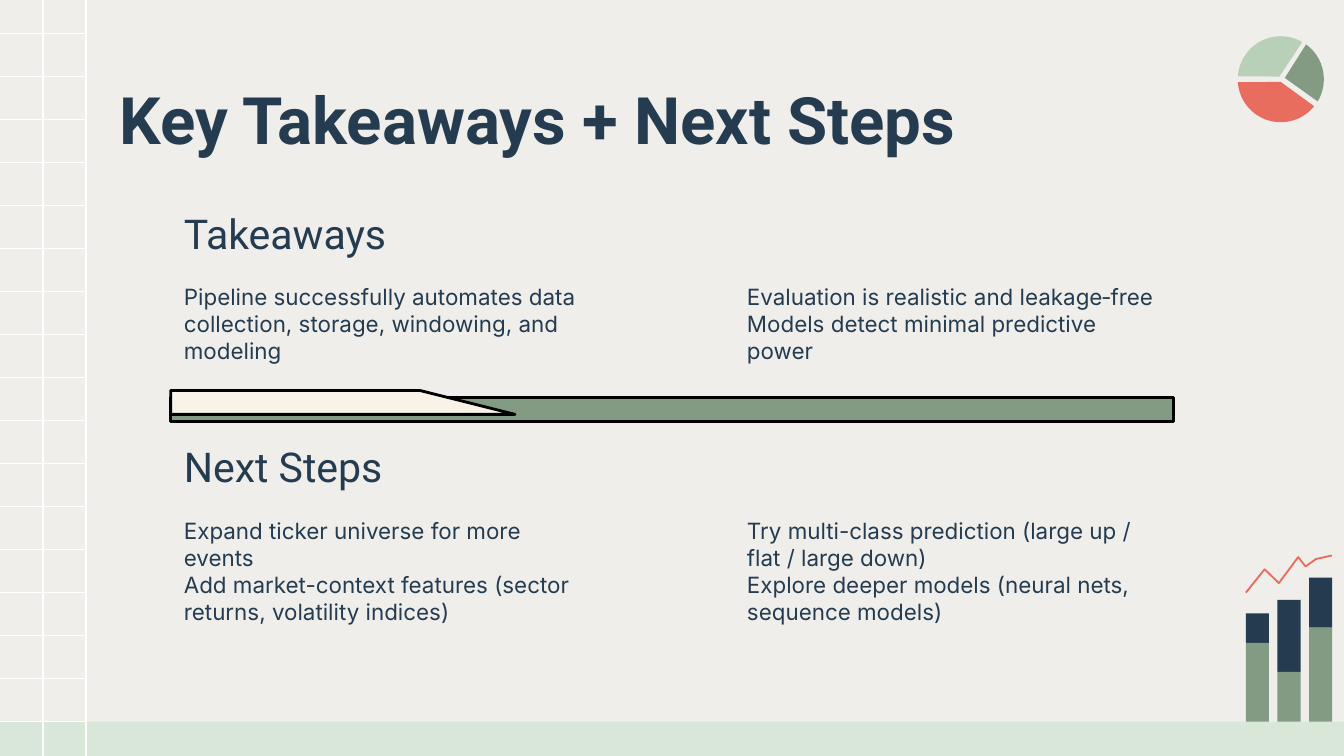
import math

import pptx
import pptx.dml.color
import pptx.enum.shapes
import pptx.enum.text
import pptx.oxml.ns
import pptx.util
import lxml.etree

Pt = pptx.util.Pt
ANCHOR = pptx.enum.text.MSO_ANCHOR

WIDTH, HEIGHT = 720, 405
BACKGROUND, MINT, WHITE, BLACK = "EFEEEA", "D9E7D8", "FFFFFF", "000000"
NAVY, GREEN, PALE_GREEN, CORAL, CREAM = "243B50", "839B82", "B9D0B8", "E96D5F", "F9F3E7"

GRID_STEP, GRID_TOP, GRID_ROWS = 23.04, 18, 17
GRID_WIDTH = 2 * GRID_STEP
FLOOR = 386.64
LEFT, RIGHT, COLUMN_WIDTH = 91.44, 393.12, 235.44
HEADING_HEIGHT, BODY_HEIGHT = 29.52, 74.88

TITLE_FORMAT = {"name": "Roboto", "size": Pt(35), "bold": True}
HEADING_FORMAT = {"name": "Roboto", "size": Pt(22)}
BODY_FORMAT = {"name": "Inter", "size": Pt(12)}

HEADINGS = [("Takeaways", 115.92), ("Next Steps", 240.48)]
BODIES = [
    (LEFT, 144.72, ["Pipeline successfully automates data collection, storage, windowing, and modeling"]),
    (RIGHT, 144.72, ["Evaluation is realistic and leakage‑free Models detect minimal predictive power"]),
    (LEFT, 270, ["Expand ticker universe for more events",
                 "Add market-context features (sector returns, volatility indices)"]),
    (RIGHT, 270, ["Try multi-class prediction (large up / flat / large down)",
                  "Explore deeper models (neural nets, sequence models)"]),
]

PIE_CENTER, PIE_RADIUS = (686.16, 42.48), 23.04
PIE_SLICES = [
    ((685.44, 41.04), 184, 300, PALE_GREEN),
    ((688.32, 41.76), 306, 391, GREEN),
    ((686.16, 43.92), 39, 176, CORAL),
]

BAR_LEFT, BAR_STEP, BAR_WIDTH = 667.44, 16.92, 12.4
BAR_TOPS = [(328.6, 344.4), (321.4, 360), (309.5, 336.24)]
TREND = [(667.44, 317.5), (677.5, 305), (685.1, 312.4), (695.5, 298.5),
         (699.4, 303.5), (705, 299.5), (713.5, 297.6)]


def color(value):
    return pptx.dml.color.RGBColor.from_string(value)


def style(shape, fill=None, line=None, weight=0.75):
    shape.shadow.inherit = False
    if fill:
        shape.fill.solid()
        shape.fill.fore_color.rgb = color(fill)
    else:
        shape.fill.background()
    if line:
        shape.line.color.rgb = color(line)
        shape.line.width = Pt(weight)
    else:
        shape.line.fill.background()


def add_rectangle(slide, left, top, width, height, fill, **outline):
    kind = pptx.enum.shapes.MSO_SHAPE.RECTANGLE
    shape = slide.shapes.add_shape(kind, Pt(left), Pt(top), Pt(width), Pt(height))
    style(shape, fill, **outline)


def add_outline(slide, points, close=True, **formats):
    start, *others = [(Pt(x), Pt(y)) for x, y in points]
    builder = slide.shapes.build_freeform(*start, scale=1.0)
    builder.add_line_segments(others, close=close)
    style(builder.convert_to_shape(), **formats)


def add_line(slide, x1, y1, x2, y2):
    kind = pptx.enum.shapes.MSO_CONNECTOR.STRAIGHT
    line = slide.shapes.add_connector(kind, Pt(x1), Pt(y1), Pt(x2), Pt(y2))
    line.line.color.rgb = color(WHITE)
    line.line.width = Pt(0.75)
    lxml.etree.SubElement(line._element.spPr, pptx.oxml.ns.qn("a:effectLst"))


def add_text(slide, left, top, width, height, texts, formats, anchor=ANCHOR.TOP):
    box = slide.shapes.add_textbox(Pt(left), Pt(top), Pt(width), Pt(height))
    frame = box.text_frame
    frame.word_wrap = True
    frame.vertical_anchor = anchor
    for side in ("left", "top", "right", "bottom"):
        setattr(frame, f"margin_{side}", Pt(7.2))
    for index, text in enumerate(texts):
        paragraph = frame.add_paragraph() if index else frame.paragraphs[0]
        run = paragraph.add_run()
        run.text = text
        for name, value in formats.items():
            setattr(run.font, name, value)
        run.font.color.rgb = color(NAVY)


def add_grid(slide):
    for row in range(GRID_ROWS):
        y = GRID_TOP + row * GRID_STEP
        add_line(slide, 0, y, GRID_WIDTH, y)
    for column in (1, 2):
        x = column * GRID_STEP
        add_line(slide, x, 0, x, HEIGHT)


def add_pie_slice(slide, corner, start, end, fill):
    steps = 40
    angles = [math.radians(start + (end - start) * step / steps) for step in range(steps + 1)]
    arc = [(PIE_CENTER[0] + PIE_RADIUS * math.cos(angle),
            PIE_CENTER[1] + PIE_RADIUS * math.sin(angle)) for angle in angles]
    add_outline(slide, [corner, *arc], fill=fill)


def add_bars(slide):
    for index, (top, split) in enumerate(BAR_TOPS):
        left = BAR_LEFT + index * BAR_STEP
        add_rectangle(slide, left, top, BAR_WIDTH, split - top, NAVY)
        add_rectangle(slide, left, split, BAR_WIDTH, FLOOR - split, GREEN)
    add_outline(slide, TREND, close=False, line=CORAL, weight=1)


def add_divider(slide):
    add_rectangle(slide, LEFT, 213.12, 537.4, 12.8, GREEN, line=BLACK, weight=1.5)
    tab = [(LEFT, 209.2), (LEFT, 222), (275.9, 222), (224.9, 209.2)]
    add_outline(slide, tab, fill=CREAM, line=BLACK, weight=1.5)


def main():
    presentation = pptx.Presentation()
    presentation.slide_width, presentation.slide_height = Pt(WIDTH), Pt(HEIGHT)
    slide = presentation.slides.add_slide(presentation.slide_layouts[6])
    slide.background.fill.solid()
    slide.background.fill.fore_color.rgb = color(BACKGROUND)

    add_rectangle(slide, 0, FLOOR, WIDTH, HEIGHT - FLOOR, MINT)
    add_grid(slide)
    for pie_slice in PIE_SLICES:
        add_pie_slice(slide, *pie_slice)
    add_bars(slide)

    add_text(slide, 56.88, 35.28, 606.96, 45.36, ["Key Takeaways + Next Steps"], TITLE_FORMAT)
    for heading, top in HEADINGS:
        add_text(slide, LEFT, top, COLUMN_WIDTH, HEADING_HEIGHT, [heading],
                 HEADING_FORMAT, ANCHOR.BOTTOM)
    for left, top, texts in BODIES:
        add_text(slide, left, top, COLUMN_WIDTH, BODY_HEIGHT, texts, BODY_FORMAT)
    add_divider(slide)
    presentation.save("out.pptx")


if __name__ == "__main__":
    main()
